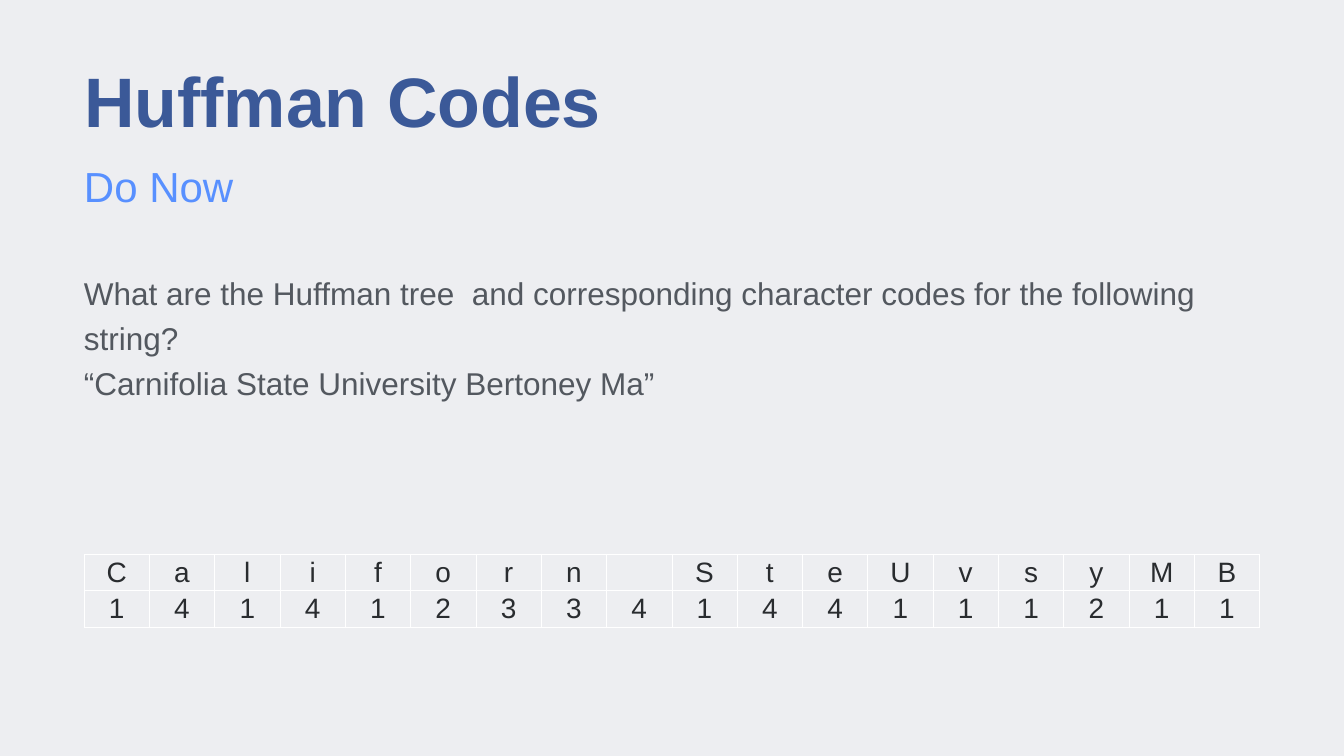
from lxml import etree
from pptx import Presentation
from pptx.dml.color import RGBColor
from pptx.enum.text import MSO_ANCHOR, MSO_AUTO_SIZE, PP_ALIGN
from pptx.oxml.ns import qn
from pptx.util import Inches, Pt

LEFT, CENTER = PP_ALIGN.LEFT, PP_ALIGN.CENTER
TOP = MSO_ANCHOR.TOP
NO_FIT = MSO_AUTO_SIZE.NONE

PAPER = RGBColor(0xED, 0xEE, 0xF1)
NAVY = RGBColor(0x3B, 0x59, 0x98)
BLUE = RGBColor(0x58, 0x90, 0xFF)
GREY = RGBColor(0x53, 0x58, 0x5F)
INK = RGBColor(0x29, 0x2C, 0x2F)
WHITE = RGBColor(0xFF, 0xFF, 0xFF)

WIDTH, HEIGHT = Inches(26.67), Inches(15)
MARGIN = WIDTH // 16
SPAN = Inches(23.33)
ROW = Inches(0.72)

LETTERS = "Californ SteUvsyMB"
COUNTS = "141412334144111211"
TASK = [
    "What are the Huffman tree  and corresponding character codes for the following string?",
    "“Carnifolia State University Bertoney Ma”",
]


def style(para, size, color, align=LEFT, bold=False):
    para.alignment = align
    font = para.font
    font.name, font.size, font.bold = "Arial", Pt(size), bold
    font.color.rgb = color


def place(shape, top, height):
    shape.left, shape.top = MARGIN, Inches(top)
    shape.width, shape.height = SPAN, Inches(height)


def write(shape, lines, size, color, bold=False, spacing=1.0):
    frame = shape.text_frame
    frame.text = "\n".join(lines)
    frame.word_wrap = True
    frame.auto_size = NO_FIT
    frame.vertical_anchor = TOP
    frame.margin_left = frame.margin_right = 0
    frame.margin_top = frame.margin_bottom = 0
    for para in frame.paragraphs:
        style(para, size, color, bold=bold)
        para.line_spacing = spacing


def add_text(slide, top, height, lines, size, color, **look):
    box = slide.shapes.add_textbox(0, 0, 0, 0)
    place(box, top, height)
    write(box, lines, size, color, **look)


def border(cell):
    props = cell._tc.get_or_add_tcPr()
    for side in ("lnL", "lnR", "lnT", "lnB"):
        line = etree.SubElement(props, qn(f"a:{side}"), w=str(Pt(1)))
        fill = etree.SubElement(line, qn("a:solidFill"))
        etree.SubElement(fill, qn("a:srgbClr"), val=str(WHITE))


def add_grid(slide, top, rows):
    shape = slide.shapes.add_table(
        len(rows), len(rows[0]), MARGIN, Inches(top), SPAN, ROW * len(rows))
    table = shape.table
    table.first_row = table.horz_banding = False
    for row, values in enumerate(rows):
        for col, value in enumerate(values):
            cell = table.cell(row, col)
            cell.text = value.strip()
            style(cell.text_frame.paragraphs[0], 40, INK, CENTER)
            border(cell)
            cell.fill.background()


def main():
    deck = Presentation()
    deck.slide_width, deck.slide_height = WIDTH, HEIGHT
    slide = deck.slides.add_slide(deck.slide_layouts[5])
    back = slide.background.fill
    back.solid()
    back.fore_color.rgb = PAPER

    title = slide.shapes.title
    place(title, 1.14, 2)
    write(title, ["Huffman Codes"], 100, NAVY, bold=True)
    add_text(slide, 3.19, 1.22, ["Do Now"], 60, BLUE)
    add_grid(slide, 11, [LETTERS, COUNTS])
    add_text(slide, 5.28, 2.16, TASK, 45, GREY, spacing=1.2)
    deck.save("out.pptx")


if __name__ == "__main__":
    main()
